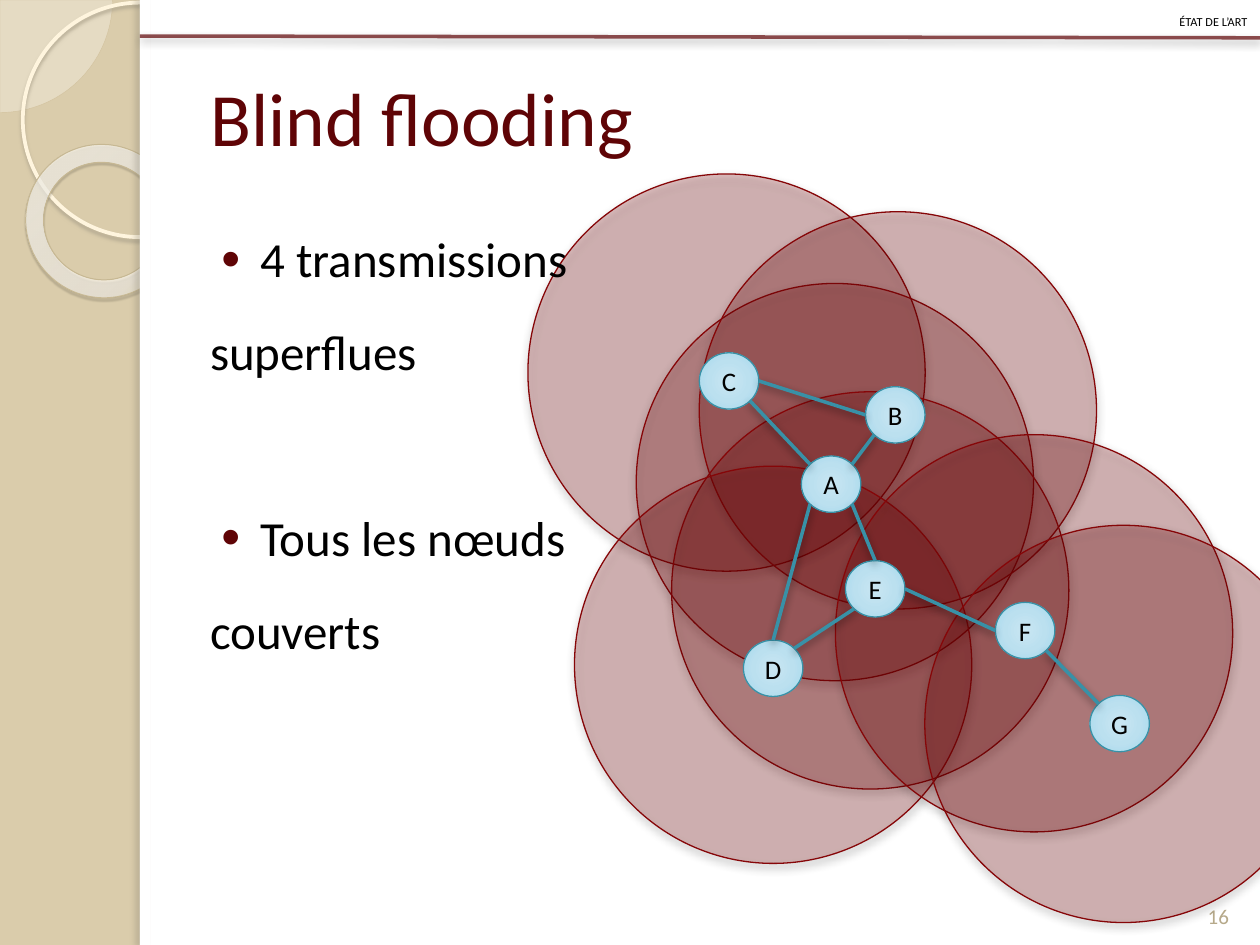
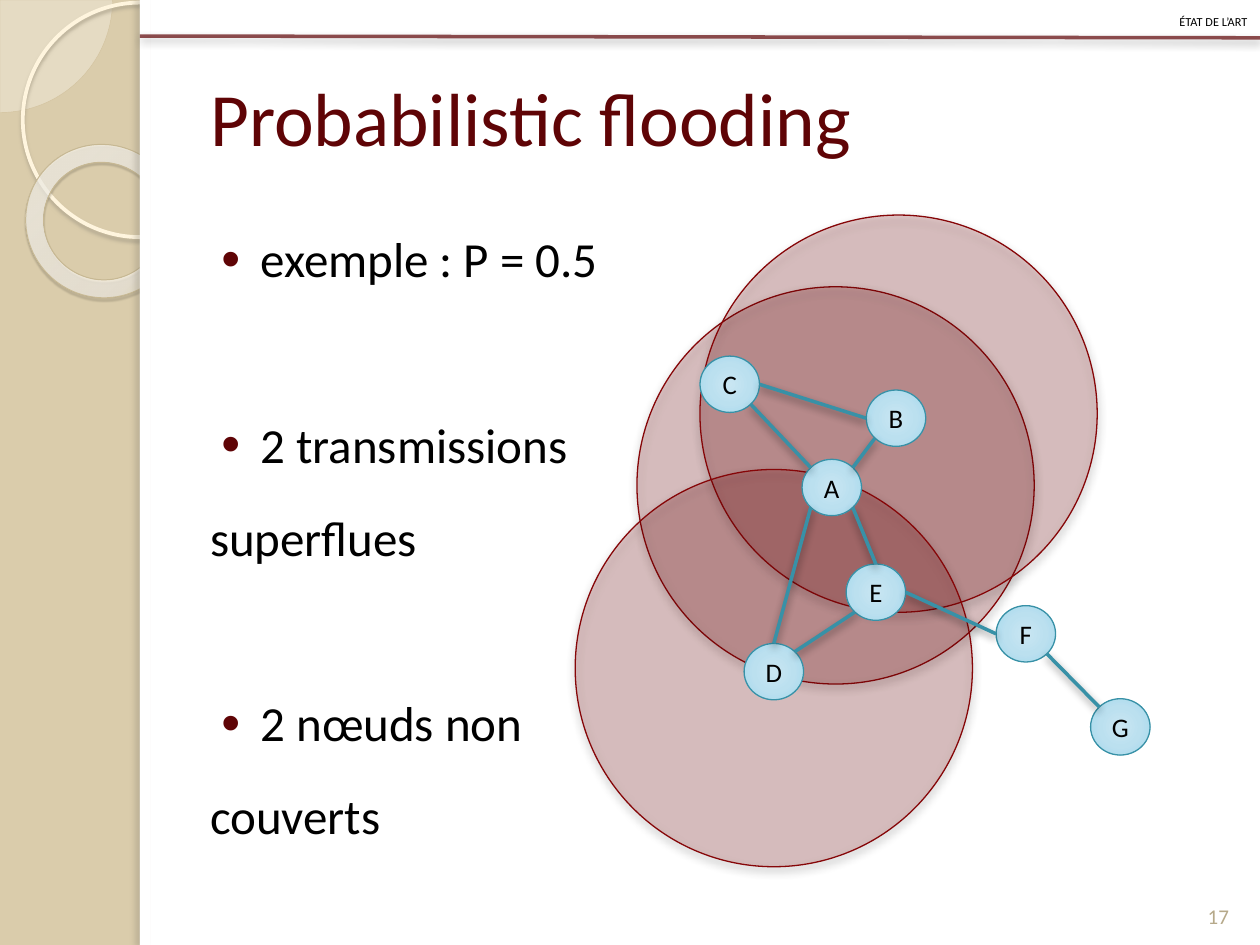
"""Two slides comparing flooding strategies on the same seven-node network."""
from math import cos, radians, sin

from lxml.etree import SubElement
from pptx import Presentation
from pptx.dml.color import RGBColor
from pptx.enum.shapes import MSO_CONNECTOR, MSO_SHAPE
from pptx.enum.text import MSO_ANCHOR, MSO_AUTO_SIZE, PP_ALIGN
from pptx.oxml.ns import qn
from pptx.util import Pt

FONT = "Calibri"
SAND = RGBColor(0xDA, 0xCC, 0xAB)
CREAM = RGBColor(0xFE, 0xFA, 0xF4)
PIE_EDGE = RGBColor(0xD3, 0xC3, 0x9F)
RING = RGBColor(0xFF, 0xF5, 0xDE)
DONUT_EDGE = RGBColor(0xC7, 0xB8, 0x93)
WHITE = RGBColor(0xFF, 0xFF, 0xFF)
BLACK = RGBColor(0, 0, 0)
MAROON = RGBColor(0x5F, 0x04, 0x06)
RED = RGBColor(0x86, 0x06, 0x08)
TEAL = RGBColor(0x38, 0x91, 0xA7)
NUMBER = RGBColor(0xB6, 0xA9, 0x8A)

SOFT_SHADOW = ("000000", 43, 5, 2, 90)
RING_SHADOW = ("B0A68F", 85, 2, 2, 90)
DONUT_SHADOW = ("5A5444", 35, 1, 1.2, 75)
STRIP_SHADOW = ("736F63", 25, 3, 3, 180)
NODE_STOPS = [(0, "C9E6F2", 100), (50, "BBE0EF", 100), (97, "A4D8ED", 100), (100, "9BD7EE", 100)]
DONUT_STOPS = [(0, "FFFCF6", 70), (70, "FFFEFB", 55), (100, "F0D28E", 60)]

WIDTH, HEIGHT, PANEL_LEFT = 720, 540, 80
NODE_WIDTH, NODE_HEIGHT, RANGE_SIZE = 34, 32.2, 227
LINE_PITCH, PARAGRAPH_GAP = 53, 6

NODES = {
    "A": (457.9, 260.6), "B": (494.6, 221), "C": (399.6, 201.6), "D": (424.8, 365.8),
    "E": (483.1, 320.4), "F": (568.8, 344.2), "G": (622.8, 397.4),
}
RANGES = {
    "A": (363.6, 162), "B": (399.6, 121), "C": (301.7, 99.4), "D": (328.3, 266.4),
    "E": (383.8, 223.9), "F": (477.4, 248.4), "G": (528.5, 300.2),
}
TOP, TOP_LEFT, LEFT, BOTTOM_LEFT, BOTTOM, BOTTOM_RIGHT, RIGHT, TOP_RIGHT = range(8)
LINKS = [
    ("C", BOTTOM_RIGHT, "A", TOP_LEFT), ("A", TOP_RIGHT, "B", BOTTOM_LEFT),
    ("A", BOTTOM_RIGHT, "E", TOP), ("A", BOTTOM_LEFT, "D", TOP),
    ("D", TOP_RIGHT, "E", BOTTOM_LEFT), ("E", RIGHT, "F", LEFT),
    ("B", LEFT, "C", RIGHT), ("F", BOTTOM_RIGHT, "G", TOP_LEFT),
]
HEADER = "état de l’art"
SLIDES = [
    {
        "title": "Blind flooding", "number": "16", "offset": (0, 0),
        "points": [("4 transmissions", "superflues"), ("Tous les nœuds", "couverts")],
        "behind": [("C", 24)],
        "ranges": [("A", 22), ("B", 24), ("E", 23), ("D", 24), ("F", 24), ("G", 24)],
    },
    {
        "title": "Probabilistic flooding", "number": "17", "offset": (0.4, 1.9),
        "points": [("exemple : P = 0.5",), ("2 transmissions", "superflues"),
                   ("2 nœuds non", "couverts")],
        "behind": [],
        "ranges": [("A", 20), ("B", 20), ("D", 20)],
    },
]


def child(parent, tag, **attributes):
    element = SubElement(parent, qn(tag))
    for name, value in attributes.items():
        element.set(name, str(value))
    return element


def set_opacity(color_format_owner, percent):
    for color in color_format_owner.iter(qn("a:srgbClr")):
        child(color, "a:alpha", val=percent * 1000)


def set_shadow(shape, shadow=None):
    effects = child(shape.element.spPr, "a:effectLst")
    if shadow:
        color, opacity, blur, distance, angle = shadow
        outer = child(effects, "a:outerShdw", blurRad=Pt(blur), dist=Pt(distance),
                      dir=angle * 60000, algn="tl", rotWithShape=0)
        child(child(outer, "a:srgbClr", val=color), "a:alpha", val=opacity * 1000)


def set_gradient(shape, stops, focus):
    properties = shape.element.spPr
    gradient = child(properties, "a:gradFill", rotWithShape=1)
    properties.insert(2, gradient)
    stop_list = child(gradient, "a:gsLst")
    for position, color, opacity in stops:
        stop = child(stop_list, "a:gs", pos=position * 1000)
        child(child(stop, "a:srgbClr", val=color), "a:alpha", val=opacity * 1000)
    sides = {side: value * 1000 for side, value in zip("ltrb", focus)}
    child(child(gradient, "a:path", path="circle"), "a:fillToRect", **sides)


def add_shape(slide, kind, box, fill=None, opacity=100, line=None, weight=0.75,
              shadow=None, gradient=None):
    shape = slide.shapes.add_shape(kind, *map(Pt, box))
    if gradient:
        set_gradient(shape, *gradient)
    elif fill is None:
        shape.fill.background()
    else:
        shape.fill.solid()
        shape.fill.fore_color.rgb = fill
        if opacity < 100:
            set_opacity(shape.element.spPr, opacity)
    if line is None:
        shape.line.fill.background()
    else:
        shape.line.color.rgb = line
        shape.line.width = Pt(weight)
    set_shadow(shape, shadow)
    return shape


def add_line(slide, start, end, color):
    line = slide.shapes.add_connector(MSO_CONNECTOR.STRAIGHT, *map(Pt, start + end))
    line.line.color.rgb = color
    line.line.width = Pt(2)
    set_shadow(line, SOFT_SHADOW)
    return line


def format_text(paragraph, size, color, alignment=PP_ALIGN.LEFT):
    paragraph.alignment = alignment
    for run in paragraph.runs:
        run.font.name = FONT
        run.font.size = Pt(size)
        run.font.color.rgb = color


def add_text(slide, box, text, size, color, alignment, anchor):
    frame = slide.shapes.add_textbox(*map(Pt, box)).text_frame
    frame.word_wrap = True
    frame.vertical_anchor = anchor
    frame.text = text
    format_text(frame.paragraphs[0], size, color, alignment)
    return frame.paragraphs[0]


def decorate_layout(layout, slide):
    layout.background.fill.solid()
    layout.background.fill.fore_color.rgb = SAND
    pie = add_shape(slide, MSO_SHAPE.PIE, (-64.3, -64.3, 128.6, 128.6), CREAM, 33, PIE_EDGE, 0.25)
    pie.adjustments[0], pie.adjustments[1] = 0, 54.02
    ring = add_shape(slide, MSO_SHAPE.OVAL, (13, 1.5, 134, 134), line=RING, weight=2.15,
                     shadow=RING_SHADOW)
    donut = add_shape(slide, MSO_SHAPE.DONUT, (14.4, 82.8, 88.6, 87.1), line=DONUT_EDGE,
                      weight=0.58, shadow=DONUT_SHADOW,
                      gradient=(DONUT_STOPS, (-408, -50, 508, 150)))
    donut.adjustments[0] = 0.118
    donut.rotation = 38.6
    panel = add_shape(slide, MSO_SHAPE.RECTANGLE, (PANEL_LEFT, 0, WIDTH - PANEL_LEFT, HEIGHT), WHITE)
    strip = add_shape(slide, MSO_SHAPE.RECTANGLE, (PANEL_LEFT, 0, 6, HEIGHT), WHITE,
                      shadow=STRIP_SHADOW)
    rule = add_line(slide, (PANEL_LEFT, 20.6), (WIDTH, 21.6), MAROON)
    set_opacity(rule.element.spPr.find(qn("a:ln")), 70)
    for shape in (pie, ring, donut, panel, strip, rule):
        layout.shapes.element.append(shape.element)


def add_title(slide, text):
    title = slide.shapes.title
    title.left, title.top, title.width, title.height = map(Pt, (113, 21.6, 590.4, 90))
    frame = title.text_frame
    frame.text = text
    frame.auto_size = MSO_AUTO_SIZE.NONE
    frame.vertical_anchor = MSO_ANCHOR.MIDDLE
    format_text(frame.paragraphs[0], 43, MAROON)


def add_points(slide, points):
    frame = slide.shapes.add_textbox(*map(Pt, (113, 113.8, 590.4, 378))).text_frame
    frame.word_wrap = True
    frame.text = "\n".join(line for point in points for line in point)
    paragraphs = iter(frame.paragraphs)
    for index, point in enumerate(points):
        for row in range(len(point)):
            paragraph = next(paragraphs)
            format_text(paragraph, 28, BLACK)
            paragraph.line_spacing = 1.4
            starts_block = index > 0 and row == 0
            paragraph.space_before = Pt(PARAGRAPH_GAP + LINE_PITCH * starts_block)
            if row == 0:
                properties = paragraph._p.get_or_add_pPr()
                properties.set("marL", str(Pt(28.8)))
                properties.set("indent", str(Pt(-22.3)))
                child(child(properties, "a:buClr"), "a:srgbClr", val=MAROON)
                child(properties, "a:buSzPct", val=110000)
                child(properties, "a:buFont", typeface="Arial")
                child(properties, "a:buChar", char="•")


def add_ranges(slide, ranges, offset):
    for name, opacity in ranges:
        left, top = RANGES[name]
        add_shape(slide, MSO_SHAPE.OVAL,
                  (left + offset[0], top + offset[1], RANGE_SIZE, RANGE_SIZE),
                  RED, opacity, RED, shadow=SOFT_SHADOW)


def site_position(name, site, offset):
    left, top = NODES[name]
    angle = radians(90 + 45 * site)
    return (left + offset[0] + NODE_WIDTH / 2 * (1 + cos(angle)),
            top + offset[1] + NODE_HEIGHT / 2 * (1 - sin(angle)))


def add_network(slide, offset):
    nodes = {}
    for name, (left, top) in NODES.items():
        node = add_shape(slide, MSO_SHAPE.OVAL,
                         (left + offset[0], top + offset[1], NODE_WIDTH, NODE_HEIGHT),
                         line=TEAL, gradient=(NODE_STOPS, (50, 50, 50, 50)))
        frame = node.text_frame
        frame.margin_left = frame.margin_right = frame.margin_top = frame.margin_bottom = 0
        frame.vertical_anchor = MSO_ANCHOR.MIDDLE
        frame.text = name
        format_text(frame.paragraphs[0], 15.3, BLACK, PP_ALIGN.CENTER)
        nodes[name] = node
    for start, start_site, end, end_site in LINKS:
        link = add_line(slide, site_position(start, start_site, offset),
                        site_position(end, end_site, offset), TEAL)
        ends = next(link.element.iter(qn("p:cNvCxnSpPr")))
        child(ends, "a:stCxn", id=nodes[start].shape_id, idx=start_site)
        child(ends, "a:endCxn", id=nodes[end].shape_id, idx=end_site)


def add_margins(slide, number):
    add_text(slide, (678.2, 496.8, 36, 37.4), number, 12, NUMBER,
             PP_ALIGN.CENTER, MSO_ANCHOR.BOTTOM)
    header = add_text(slide, (0, 0, WIDTH, 20.9), HEADER, 8.8, BLACK,
                      PP_ALIGN.RIGHT, MSO_ANCHOR.MIDDLE)
    header.line_spacing = 1.2
    header.space_before = Pt(PARAGRAPH_GAP)
    header.runs[0].font._element.set("cap", "small")


presentation = Presentation()
presentation.slide_width, presentation.slide_height = Pt(WIDTH), Pt(HEIGHT)
title_only = presentation.slide_layouts[5]
for position, content in enumerate(SLIDES):
    slide = presentation.slides.add_slide(title_only)
    if position == 0:
        decorate_layout(title_only, slide)
    add_title(slide, content["title"])
    add_ranges(slide, content["behind"], content["offset"])
    add_points(slide, content["points"])
    add_margins(slide, content["number"])
    add_ranges(slide, content["ranges"], content["offset"])
    add_network(slide, content["offset"])
presentation.save("out.pptx")
